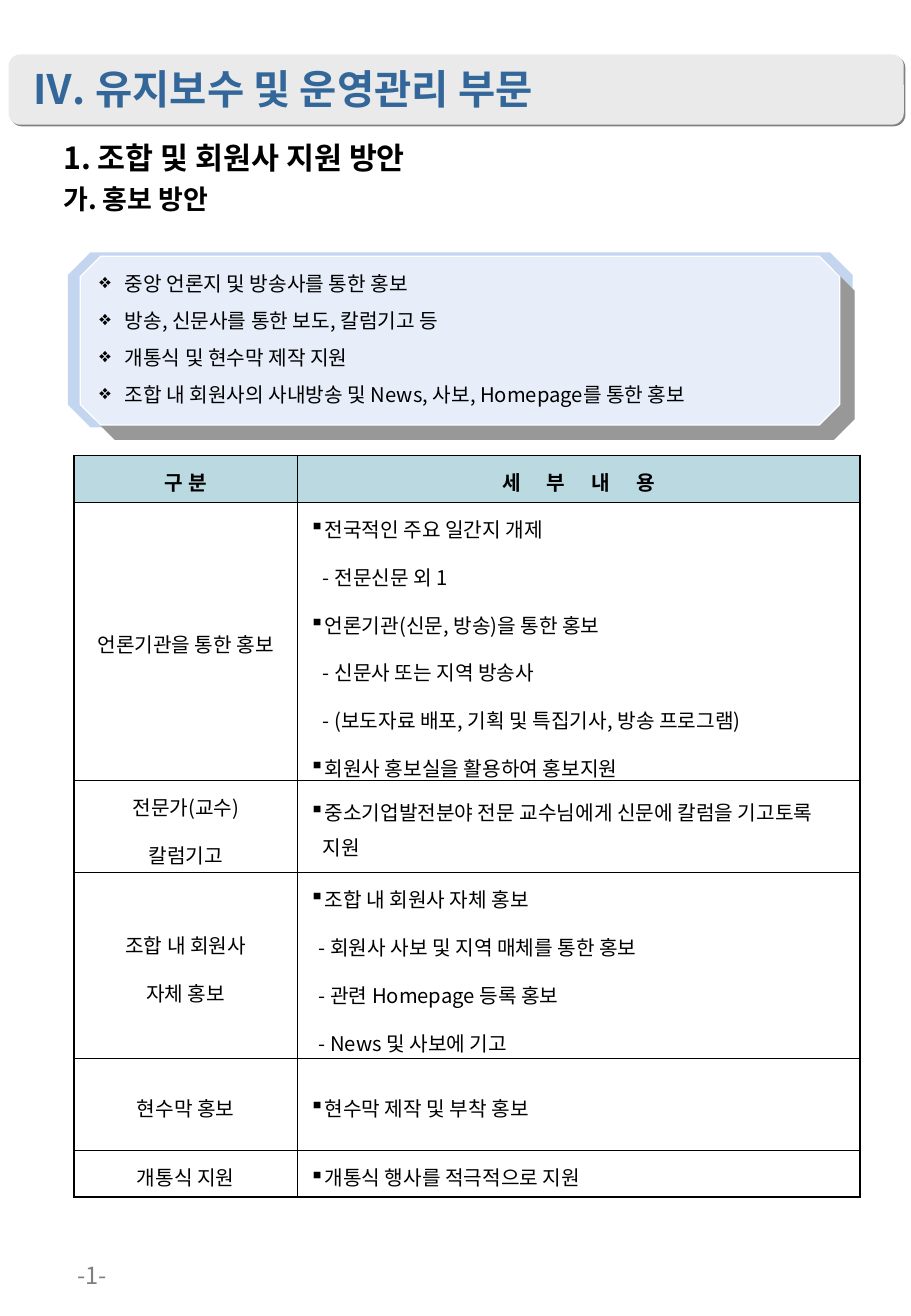
from lxml import etree
from pptx import Presentation, util as u
from pptx.dml.color import RGBColor
from pptx.enum import shapes, text
from pptx.oxml.ns import qn

FONT = "Noto Sans CJK KR"
BLACK = "000000"
CENTER = text.PP_ALIGN.CENTER
MIDDLE = text.MSO_ANCHOR.MIDDLE

SUMMARY = [
    "중앙 언론지 및 방송사를 통한 홍보",
    "방송, 신문사를 통한 보도, 칼럼기고 등",
    "개통식 및 현수막 제작 지원",
    "조합 내 회원사의 사내방송 및 News, 사보, Homepage를 통한 홍보",
]
# Height, category lines, detail lines, indent of the dashed lines (cm)
PLAN = [
    (5.82, ["언론기관을 통한 홍보"],
     ["전국적인 주요 일간지 개제", "- 전문신문 외 1", "언론기관(신문, 방송)을 통한 홍보",
      "- 신문사 또는 지역 방송사", "- (보도자료 배포, 기획 및 특집기사, 방송 프로그램)",
      "회원사 홍보실을 활용하여 홍보지원"], 0.28),
    (1.93, ["전문가(교수)", "칼럼기고"],
     ["중소기업발전분야 전문 교수님에게 신문에 칼럼을 기고토록 지원"], 0),
    (3.89, ["조합 내 회원사", "자체 홍보"],
     ["조합 내 회원사 자체 홍보", "- 회원사 사보 및 지역 매체를 통한 홍보",
      "- 관련 Homepage 등록 홍보", "- News 및 사보에 기고"], 0.19),
    (1.93, ["현수막 홍보"], ["현수막 제작 및 부착 홍보"], 0),
    (0.97, ["개통식 지원"], ["개통식 행사를 적극적으로 지원"], 0),
]


def color(value):
    return RGBColor.from_string(value)


def add_xml(parent, tag, **attributes):
    return etree.SubElement(parent, qn(tag), {k: str(v) for k, v in attributes.items()})


def add_color(parent, value):
    return add_xml(add_xml(parent, "a:solidFill"), "a:srgbClr", val=value)


def place(shape, box):
    shape.left, shape.top, shape.width, shape.height = map(u.Cm, box)


def add_run(paragraph, content, size=12, bold=False, fill=BLACK, tracking=0):
    run = paragraph.add_run()
    run.text = content
    run.font.size, run.font.bold, run.font.name = u.Pt(size), bold, FONT
    run.font.color.rgb = color(fill)
    properties = run.font._element
    add_xml(properties, "a:ea", typeface=FONT)
    if tracking:
        properties.set("spc", str(tracking))


def write(frame, lines, align=text.PP_ALIGN.LEFT, spacing=1.0, before=7.5,
          bullet=None, hang=0, dash_indent=0, **run_format):
    """Writes one paragraph per line; lines with a dash take no bullet."""
    frame.word_wrap = True
    for index, line in enumerate(lines):
        paragraph = frame.add_paragraph() if index else frame.paragraphs[0]
        properties = paragraph._p.get_or_add_pPr()
        if line.startswith("-") and dash_indent:
            properties.set("marL", str(u.Cm(dash_indent)))
        elif bullet:
            properties.set("marL", str(u.Cm(hang)))
            properties.set("indent", str(-u.Cm(hang)))
            add_xml(add_xml(properties, "a:buClr"), "a:srgbClr", val=BLACK)
            add_xml(properties, "a:buChar", char=bullet)
        paragraph.alignment, paragraph.line_spacing = align, spacing
        paragraph.space_before = u.Pt(before if index else 0)
        add_run(paragraph, line, **run_format)


def add_text(slide, box, lines, anchor=text.MSO_ANCHOR.TOP, **text_format):
    frame = slide.shapes.add_textbox(*map(u.Cm, box)).text_frame
    frame.vertical_anchor = anchor
    write(frame, lines, **text_format)


def add_panel(slide, kind, box, fill, corner, line=None, shadow=None):
    panel = slide.shapes.add_shape(kind, *map(u.Cm, box))
    panel.adjustments[0] = corner
    panel.fill.solid()
    panel.fill.fore_color.rgb = color(fill)
    if line:
        panel.line.color.rgb = color(line)
        panel.line.width = u.Pt(0.75)
    else:
        panel.line.fill.background()
    panel.shadow.inherit = False
    if shadow:
        shade, distance = shadow
        effects = panel._element.spPr.find(qn("a:effectLst"))
        outer = add_xml(effects, "a:outerShdw", dist=u.Pt(distance), dir=45 * 60000,
                        algn="ctr", rotWithShape=0)
        add_xml(outer, "a:srgbClr", val=shade)


def add_banner(slide, box):
    left, top, width, height = box
    add_panel(slide, shapes.MSO_SHAPE.ROUNDED_RECTANGLE, box, "EAEAEA", 0.167,
              shadow=("808080", 1.4))
    add_text(slide, (left + 0.25, top + 0.08, width - 2.64, height - 0.1),
             ["Ⅳ. 유지보수 및 운영관리 부문"], size=24, bold=True, fill="336699")


def add_heading(slide, box):
    title = slide.shapes.title
    place(title, box)
    frame = title.text_frame
    frame.auto_size = text.MSO_AUTO_SIZE.NONE
    frame.vertical_anchor = text.MSO_ANCHOR.TOP
    write(frame, ["1. 조합 및 회원사 지원 방안"], spacing=1.2, size=18, bold=True)
    paragraph = frame.paragraphs[0]
    paragraph.add_line_break()
    add_run(paragraph, "가. 홍보 방안", size=16, bold=True)


def add_summary(slide, box):
    left, top, width, height = box
    octagon = shapes.MSO_SHAPE.OCTAGON
    add_panel(slide, octagon, box, "C4D5F0", 0.129)
    add_panel(slide, octagon, (left + 0.26, top + 0.08, width - 0.53, height - 0.13),
              "E7EEF9", 0.121, line="FFFFFF", shadow=("989898", 12.1))
    add_text(slide, (left + 0.41, top + 0.03, width - 0.69, height - 0.1), SUMMARY,
             anchor=MIDDLE, bullet="❖", hang=0.53)


def set_borders(cell, thick_sides):
    properties = cell._tc.get_or_add_tcPr()
    for side in "LRTB":
        width = 1.08 if side in thick_sides else 0.45
        add_color(add_xml(properties, f"a:ln{side}", w=u.Pt(width)), BLACK)


def add_plan_table(slide, box):
    header_height = 0.97
    table = slide.shapes.add_table(len(PLAN) + 1, 2, *map(u.Cm, box)).table
    table.first_row = table.horz_banding = False
    table.columns[0].width = u.Cm(4.67)
    table.columns[1].width = u.Cm(box[2] - 4.67)
    heights = [header_height] + [row[0] for row in PLAN]
    for index, height in enumerate(heights):
        table.rows[index].height = u.Cm(height)
        for column in range(2):
            cell = table.cell(index, column)
            cell.vertical_anchor = MIDDLE
            set_borders(cell, "LR"[column] + ("T" if index == 0 else "")
                        + ("B" if index == len(PLAN) else ""))
            if index:
                cell.fill.background()
            else:
                cell.fill.solid()
                cell.fill.fore_color.rgb = color("BAD9E0")

    # Header
    header = dict(align=CENTER, spacing=1.2, bold=True)
    write(table.cell(0, 0).text_frame, ["구 분"], **header)
    write(table.cell(0, 1).text_frame, ["세 부 내 용"], tracking=640, **header)

    # Body
    for index, (_, category, details, dash_indent) in enumerate(PLAN, 1):
        write(table.cell(index, 0).text_frame, category, align=CENTER, spacing=1.2)
        write(table.cell(index, 1).text_frame, details, spacing=1.2,
              bullet="▪", hang=0.28, dash_indent=dash_indent)


def add_page_number(slide, box):
    add_text(slide, box, ["-1-"], align=text.PP_ALIGN.RIGHT, size=14, fill="808080")


def main():
    presentation = Presentation()
    presentation.slide_width, presentation.slide_height = u.Cm(19.05), u.Cm(27.53)
    slide = presentation.slides.add_slide(presentation.slide_layouts[5])
    add_page_number(slide, (0.15, 26.26, 2.34, 1.52))
    add_banner(slide, (0.18, 1.14, 18.72, 1.47))
    add_heading(slide, (1.07, 2.64, 16.08, 2.41))
    add_plan_table(slide, (1.55, 9.53, 16.43, 15.51))
    add_summary(slide, (1.42, 5.28, 16.41, 3.66))
    presentation.save("out.pptx")


if __name__ == "__main__":
    main()
